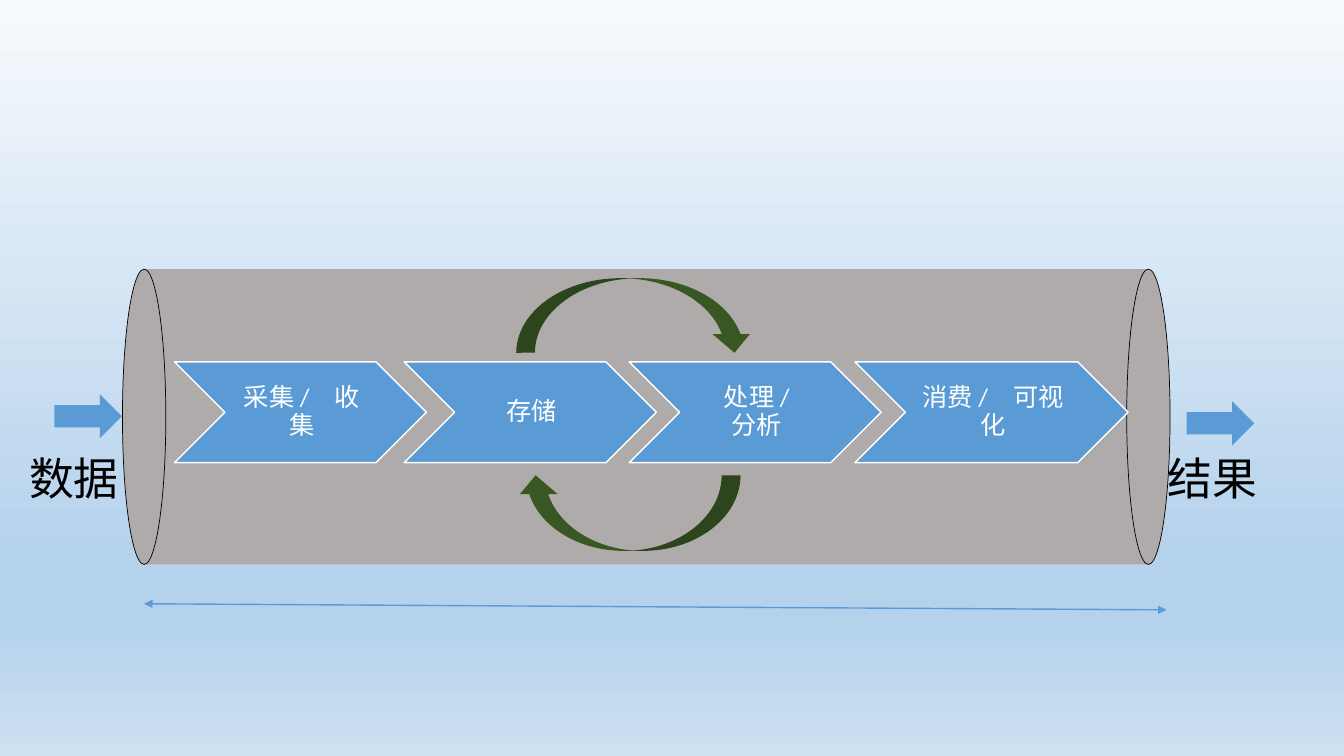
from dataclasses import dataclass

from lxml.etree import SubElement
from pptx import Presentation
from pptx.dml.color import RGBColor
from pptx.enum.shapes import MSO_CONNECTOR, MSO_SHAPE
from pptx.enum.text import MSO_ANCHOR, MSO_AUTO_SIZE, PP_ALIGN
from pptx.oxml.ns import qn
from pptx.util import Inches, Pt

# Content: stage text, left edge, width
STAGES = [
    ("采集 /　收集", 1.73, 2.5),
    ("存储", 4.01, 2.5),
    ("处理 /\v分析", 6.24, 2.5),
    ("消费 /　可视化", 8.48, 2.71),
]
# Ends of the pipe: label, label left, arrow left, arrow top
ENDS = [("数据", 0.19, 0.54, 3.91), ("结果", 11.48, 11.77, 3.98)]


@dataclass(frozen=True)
class Theme:
    font: str = "Calibri"
    stage_size: int = 18
    label_size: int = 32
    blue: str = "5B9BD5"
    grey: str = "AFABAB"
    green: str = "385723"
    white: str = "FFFFFF"
    black: str = "000000"
    sky: tuple = ((0, "F7FAFD"), (74, "B5D2EC"), (83, "B5D2EC"), (100, "CEE1F2"))


THEME = Theme()
WIDTH, HEIGHT = 13.33, 7.5
PIPE_LEFT, PIPE_TOP, PIPE_WIDTH, PIPE_HEIGHT = 1.43, 2.67, 9.96, 2.93
CAP_WIDTH = 0.43
STAGE_TOP, STAGE_HEIGHT = 3.59, 1

deck = Presentation()
deck.slide_width, deck.slide_height = Inches(WIDTH), Inches(HEIGHT)
slide = deck.slides.add_slide(deck.slide_layouts[6])


def add_block(preset, left, top, width, height, fill, line=None, weight=1):
    block = slide.shapes.add_shape(
        preset, Inches(left), Inches(top), Inches(width), Inches(height))
    block.shadow.inherit = False
    block.fill.solid()
    block.fill.fore_color.rgb = RGBColor.from_string(fill)
    if line:
        block.line.color.rgb = RGBColor.from_string(line)
        block.line.width = Pt(weight)
    else:
        block.line.fill.background()
    return block


def set_text(frame, text, size, color):
    frame.text = text
    paragraph = frame.paragraphs[0]
    paragraph.font.name = THEME.font
    paragraph.font.size = Pt(size)
    paragraph.font.color.rgb = RGBColor.from_string(color)
    return paragraph


# Background gradient, top to bottom
fill = slide.background.fill
fill.gradient()
fill.gradient_angle = 270
gradient = slide.element.find(".//" + qn("a:gradFill"))
stops = gradient.find(qn("a:gsLst"))
for stop in list(stops):
    stops.remove(stop)
for share, color in THEME.sky:
    stop = SubElement(stops, qn("a:gs"), pos=str(share * 1000))
    SubElement(stop, qn("a:srgbClr"), val=color)

# Pipe with a cap centred on each end
add_block(MSO_SHAPE.RECTANGLE, PIPE_LEFT, PIPE_TOP, PIPE_WIDTH, PIPE_HEIGHT, THEME.grey)
for edge in (PIPE_LEFT, PIPE_LEFT + PIPE_WIDTH):
    add_block(MSO_SHAPE.OVAL, edge - CAP_WIDTH / 2, PIPE_TOP, CAP_WIDTH, PIPE_HEIGHT,
              THEME.grey, THEME.black, 0.5)

# Stages
for text, left, width in STAGES:
    stage = add_block(MSO_SHAPE.CHEVRON, left, STAGE_TOP, width, STAGE_HEIGHT,
                      THEME.blue, THEME.white)
    frame = stage.text_frame
    frame.word_wrap = True
    frame.vertical_anchor = MSO_ANCHOR.MIDDLE
    frame.margin_left, frame.margin_right = Inches(0.08), Inches(0.05)
    frame.margin_top = frame.margin_bottom = Inches(0.03)
    paragraph = set_text(frame, text, THEME.stage_size, THEME.white)
    paragraph.alignment = PP_ALIGN.CENTER
    paragraph.line_spacing = 0.9

# Input and output
for text, label_left, arrow_left, arrow_top in ENDS:
    add_block(MSO_SHAPE.RIGHT_ARROW, arrow_left, arrow_top, 0.67, 0.44, THEME.blue)
    label = slide.shapes.add_textbox(
        Inches(label_left), Inches(4.42), Inches(1.1), Inches(0.64))
    label.text_frame.word_wrap = False
    label.text_frame.auto_size = MSO_AUTO_SIZE.SHAPE_TO_FIT_TEXT
    set_text(label.text_frame, text, THEME.label_size, THEME.black)

# Loop between storage and processing
back = add_block(MSO_SHAPE.CURVED_LEFT_ARROW, 5.86, 3.98, 0.75, 2.22, THEME.green)
back.rotation = 90
add_block(MSO_SHAPE.CURVED_DOWN_ARROW, 5.12, 2.76, 2.35, 0.74, THEME.green)

# Span line below the pipe
span = slide.shapes.add_connector(
    MSO_CONNECTOR.STRAIGHT, Inches(PIPE_LEFT), Inches(5.99), Inches(11.57), Inches(6.05))
span.line.color.rgb = RGBColor.from_string(THEME.blue)
span.line.width = Pt(1)
outline = span.line._get_or_add_ln()
for end in ("a:headEnd", "a:tailEnd"):
    SubElement(outline, qn(end), type="triangle")
SubElement(span.element.spPr, qn("a:effectLst"))

deck.save("out.pptx")
